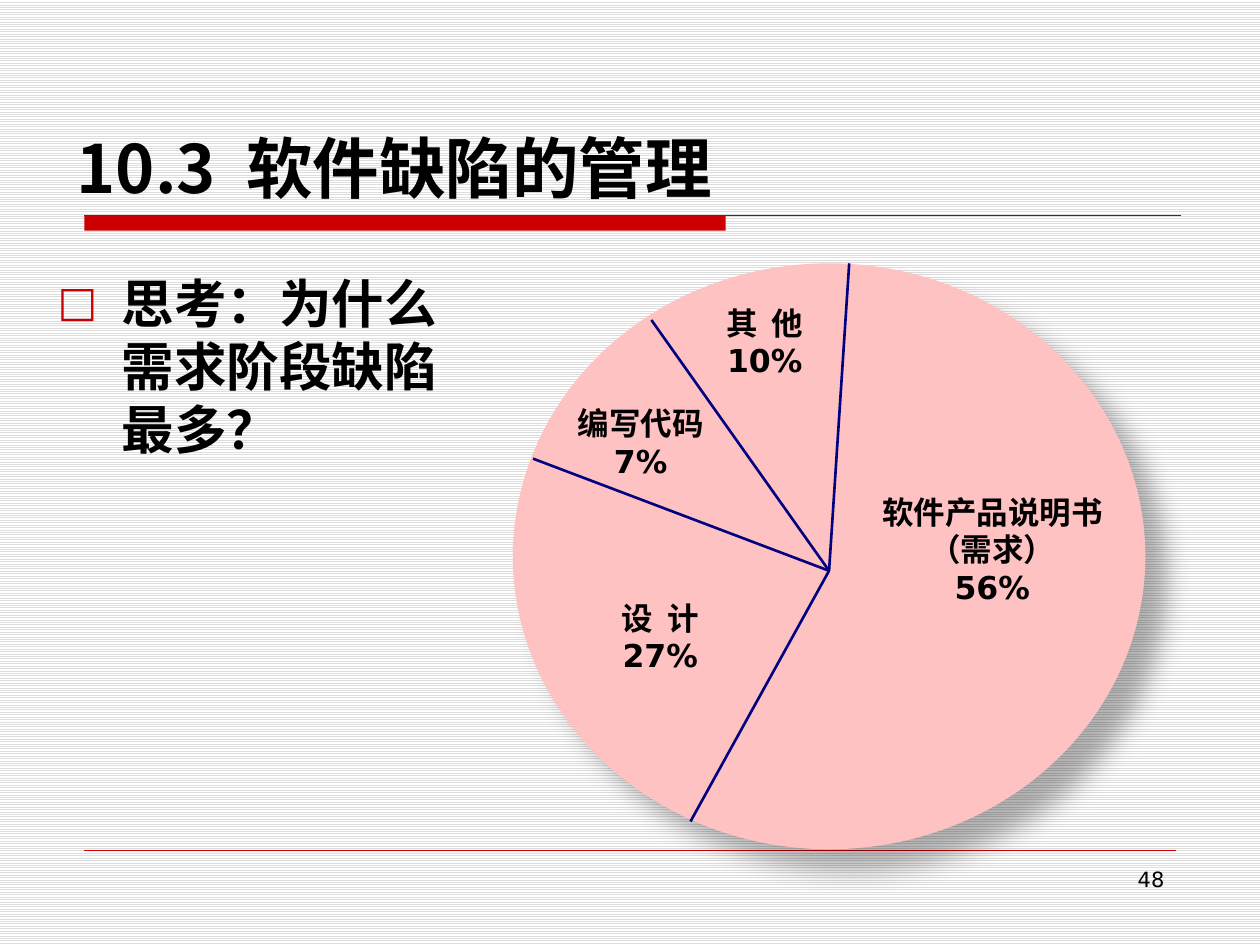
"""Build the slide on managing software defects, with a divided disc of defect sources."""
from lxml.etree import SubElement
from pptx import Presentation
from pptx.dml.color import RGBColor
from pptx.enum.dml import MSO_PATTERN
from pptx.enum.shapes import MSO_CONNECTOR, MSO_SHAPE
from pptx.enum.text import MSO_ANCHOR, PP_ALIGN
from pptx.oxml import parse_xml
from pptx.oxml.ns import nsdecls, qn
from pptx.util import Inches, Pt

BLACK = RGBColor(0x00, 0x00, 0x00)
WHITE = RGBColor(0xFF, 0xFF, 0xFF)
STRIPE = RGBColor(0xDD, 0xDD, 0xDD)
RULE = RGBColor(0x33, 0x33, 0x33)
RED = RGBColor(0xCC, 0x00, 0x00)
PINK = RGBColor(0xFF, 0xC2, 0xC2)
NAVY = RGBColor(0x00, 0x00, 0x80)
LATIN, CJK = "DejaVu Sans", "Noto Sans CJK SC"


def add_text(tf, lines, size=18, bold=True, align=PP_ALIGN.LEFT, font=LATIN, gap=0, bullet=None):
    for i, line in enumerate(lines):
        p = tf.paragraphs[0] if i == 0 else tf.add_paragraph()
        p.alignment = align
        if bullet:
            pPr = p._p.get_or_add_pPr()
            pPr.set("marL", str(Inches(0.51)))
            pPr.set("indent", str(-Inches(0.51)))
            color = SubElement(pPr, qn("a:buClr"))
            SubElement(color, qn("a:srgbClr"), val=str(RED))
            SubElement(pPr, qn("a:buSzPct"), val="80000")
            SubElement(pPr, qn("a:buFont"), typeface=LATIN)
            SubElement(pPr, qn("a:buChar"), char=bullet)
        for part in filter(None, line.partition(" ")):
            r = p.add_run()
            r.text = part
            r.font.size, r.font.bold, r.font.name = Pt(size), bold, font
            r.font.color.rgb = BLACK
            rPr = r._r.get_or_add_rPr()
            SubElement(rPr, qn("a:ea"), typeface=CJK)
            if part == " " and gap:
                rPr.set("spc", str(round(gap * 100)))


class Deck:
    """Hold the presentation style and the current slide."""

    def __init__(self):
        self.prs = Presentation()
        self.prs.slide_width, self.prs.slide_height = Inches(10), Inches(7.5)
        self.s = self.prs.slides.add_slide(self.prs.slide_layouts[6])
        fill = self.s.background.fill
        fill.patterned()
        fill.pattern = MSO_PATTERN.LIGHT_HORIZONTAL
        fill.fore_color.rgb, fill.back_color.rgb = STRIPE, WHITE

    def text(self, box, lines, inset=(0.1, 0.05), anchor=MSO_ANCHOR.TOP, **style):
        tf = self.s.shapes.add_textbox(*map(Inches, box)).text_frame
        tf.word_wrap = True
        tf.vertical_anchor = anchor
        tf.margin_left = tf.margin_right = Inches(inset[0])
        tf.margin_top = tf.margin_bottom = Inches(inset[1])
        add_text(tf, lines, **style)

    def shape(self, kind, box, color):
        sp = self.s.shapes.add_shape(kind, *map(Inches, box))
        sp.shadow.inherit = False
        sp.fill.solid()
        sp.fill.fore_color.rgb = color
        sp.line.fill.background()
        return sp

    def disc(self, box, color):
        sp = self.shape(MSO_SHAPE.OVAL, box, color)
        effects = sp._element.spPr.find(qn("a:effectLst"))
        effects.append(parse_xml(
            f'<a:outerShdw {nsdecls("a")} blurRad="{Pt(15)}" dist="{Pt(18)}" dir="2700000"'
            ' algn="ctr" rotWithShape="0"><a:srgbClr val="000000">'
            '<a:alpha val="30000"/></a:srgbClr></a:outerShdw>'))

    def line(self, start, end, color, width):
        ln = self.s.shapes.add_connector(MSO_CONNECTOR.STRAIGHT, *map(Inches, start + end))
        ln.line.color.rgb = color
        ln.line.width = Pt(width)
        SubElement(ln._element.spPr, qn("a:effectLst"))


def main():
    deck = Deck()
    deck.line((0.67, 1.71), (9.37, 1.71), RULE, 0.75)
    deck.shape(MSO_SHAPE.RECTANGLE, (0.67, 1.71, 5.09, 0.12), RED)
    deck.line((0.67, 6.75), (9.33, 6.75), RED, 0.25)
    deck.text((0.36, 2.1, 3.56, 2.29), ["思考：为什么需求阶段缺陷最多？"], size=30, bullet="□")
    deck.text((7.17, 6.83, 2.17, 0.52), ["48"], size=12, bold=False, align=PP_ALIGN.RIGHT)
    deck.text((0.51, 0.36, 8.75, 1.33), ["10.3 软件缺陷的管理"], size=38, font=CJK, gap=8.5,
              anchor=MSO_ANCHOR.BOTTOM)

    deck.disc((4.07, 2.09, 5.02, 4.65), PINK)
    for rim in ((6.74, 2.09), (5.48, 6.52), (4.23, 3.64), (5.17, 2.54)):
        deck.line((6.58, 4.53), rim, NAVY, 1.5)
    sectors = (
        ((5.68, 2.41, 0.78, 0.6), ["其 他", "10%"]),
        ((6.89, 3.91, 1.97, 1.55), ["软件产品说明书（需求）", "56%"]),
        ((4.38, 3.21, 1.41, 0.8), ["编写代码", "7%"]),
        ((4.85, 4.75, 0.78, 0.89), ["设 计", "27%"]),
    )
    for box, lines in sectors:
        deck.text(box, lines, inset=(0, 0), align=PP_ALIGN.CENTER, gap=4)
    deck.prs.save("out.pptx")


if __name__ == "__main__":
    main()
